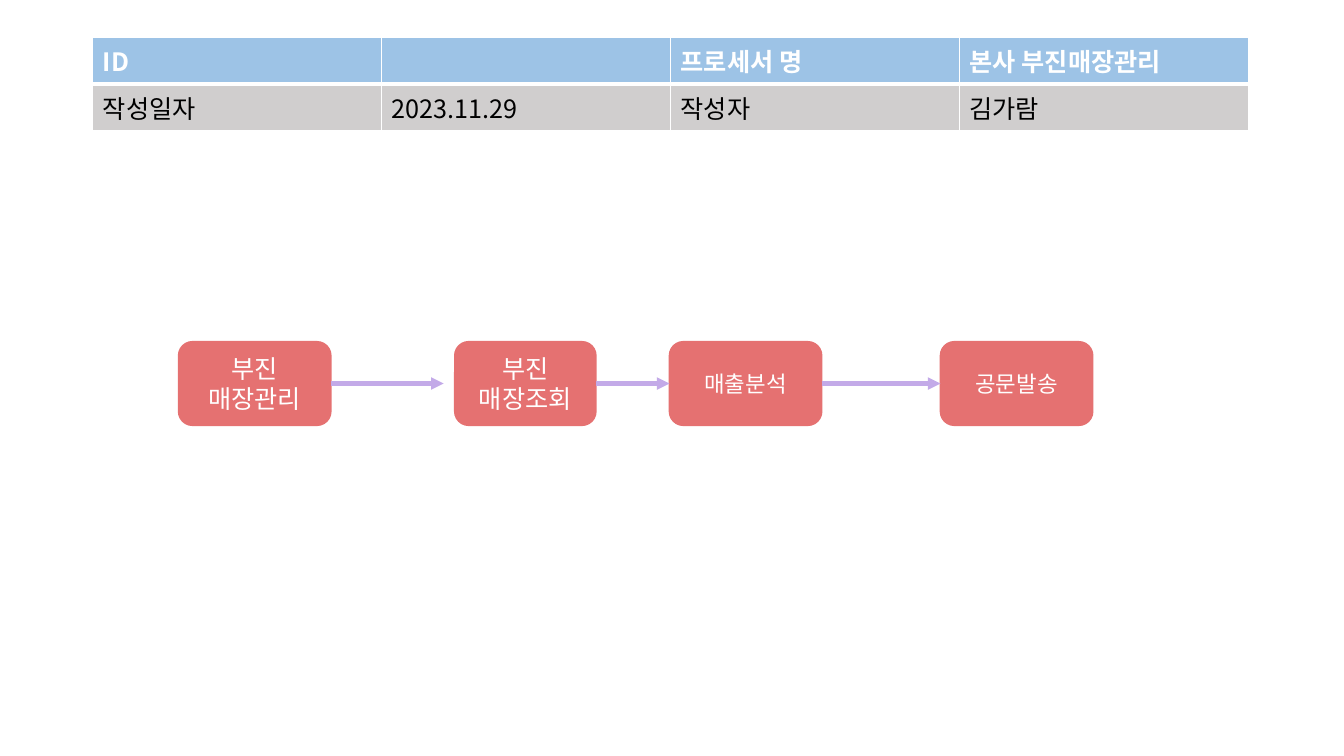
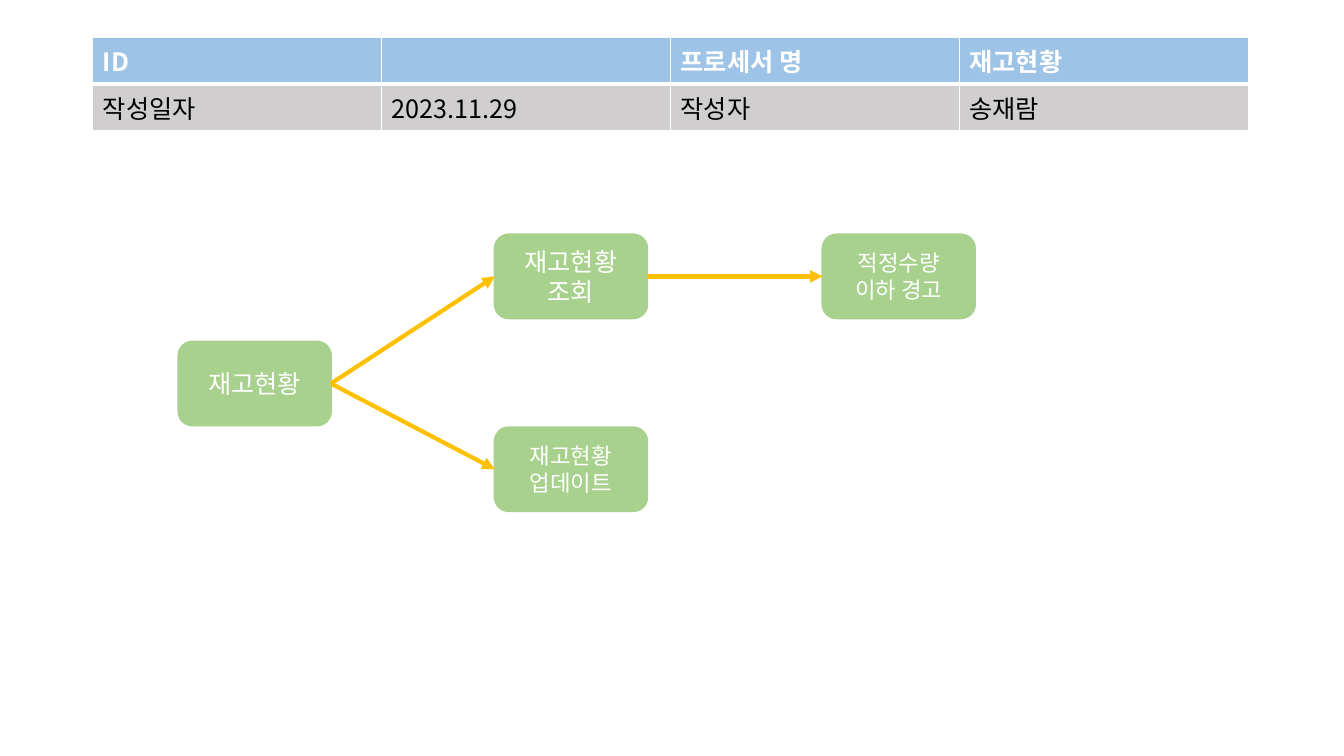
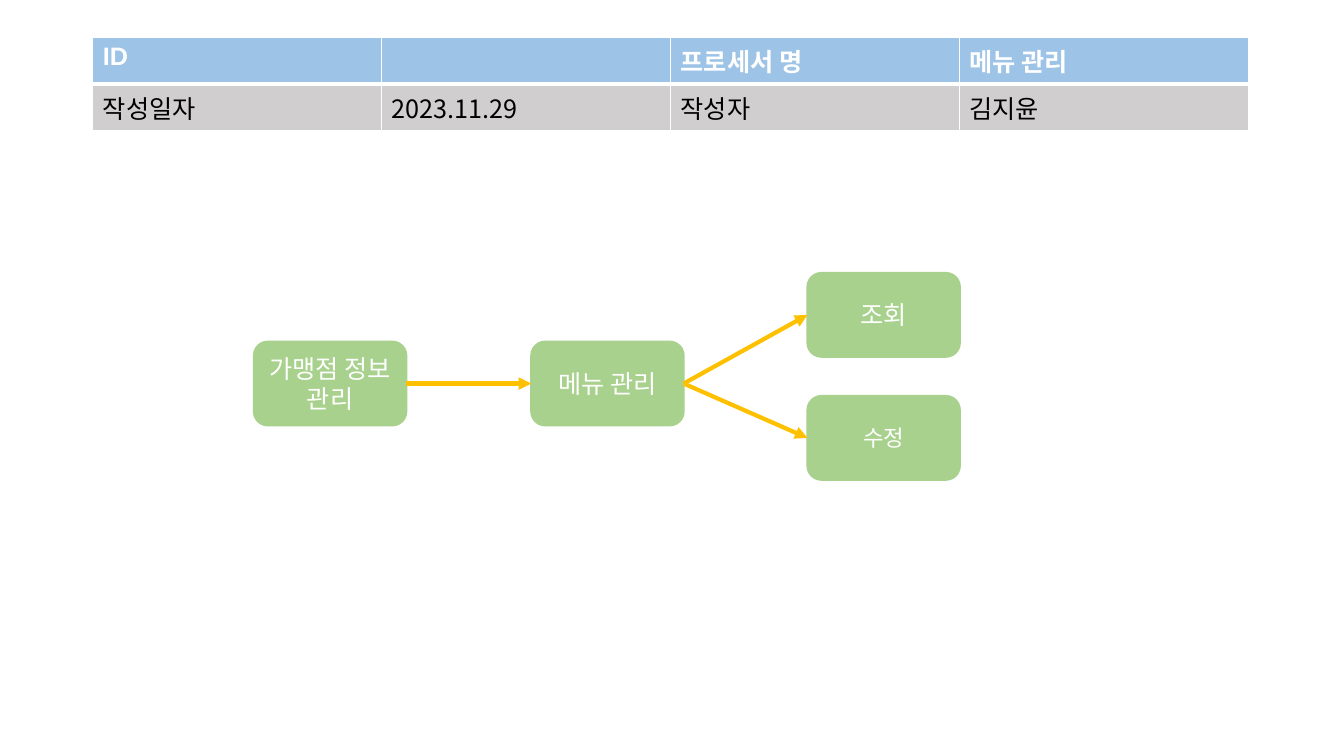
from dataclasses import dataclass

from lxml import etree
from pptx import Presentation
from pptx.dml.color import RGBColor
from pptx.enum import shapes, text
from pptx.oxml import ns
from pptx.util import Cm, Pt


@dataclass(frozen=True)
class Theme:
    header: str = "9DC3E6"
    body: str = "D0CECE"
    white: str = "FFFFFF"
    black: str = "000000"
    sans: str = "Noto Sans CJK KR"
    latin: str = "Arial"
    large: int = 18
    small: int = 16
    arrow_width: int = 3


THEME = Theme()
RED = {"fill": "E57171", "arrow": "C3AAE8", "outline": 1}
GREEN = {"fill": "A9D18E", "arrow": "FFC000", "outline": 1.5}

# Sizes in centimetres
PAGE_W, PAGE_H = 33.87, 19.05
TABLE_X, TABLE_Y, COL_W = 2.34, 0.94, 7.28
ROW_HEIGHTS = (1.09, 1.04)
BOX_W, BOX_H = 3.84, 2.11
NARROW = 3.56
MID_Y = 8.61

# Content: steps are (text, x, y, type size, width),
# arrows are (from step, to step, gap before the target)
PAGES = [
    {
        "process": "본사 부진매장관리", "author": "김가람",
        "font": THEME.sans, "palette": RED,
        "steps": [
            ("부진\n매장관리", 4.5, MID_Y, THEME.large, BOX_W),
            ("부진\n매장조회", 11.46, MID_Y, THEME.large, NARROW),
            ("매출분석", 16.87, MID_Y, THEME.small, BOX_W),
            ("공문발송", 23.7, MID_Y, THEME.small, BOX_W),
        ],
        "arrows": [(0, 1, 0.28), (1, 2, 0), (2, 3, 0)],
    },
    {
        "process": "재고현황", "author": "송재람",
        "font": THEME.sans, "palette": GREEN,
        "steps": [
            ("재고현황", 4.5, MID_Y, THEME.large, BOX_W),
            ("재고현황 조회", 12.47, 5.91, THEME.large, BOX_W),
            ("재고현황\n업데이트", 12.47, 10.77, THEME.small, BOX_W),
            ("적정수량\n이하 경고", 20.73, 5.91, THEME.small, BOX_W),
        ],
        "arrows": [(0, 1, 0), (0, 2, 0), (1, 3, 0)],
    },
    {
        "process": "메뉴 관리", "author": "김지윤",
        "font": THEME.latin, "palette": GREEN,
        "steps": [
            ("가맹점 정보 관리", 6.4, MID_Y, THEME.large, BOX_W),
            ("메뉴 관리", 13.39, MID_Y, THEME.large, BOX_W),
            ("조회", 20.35, 6.88, THEME.large, BOX_W),
            ("수정", 20.35, 9.98, THEME.small, BOX_W),
        ],
        "arrows": [(0, 1, 0), (1, 2, 0), (1, 3, 0)],
    },
]


def rgb(value):
    return RGBColor.from_string(value)


def style_text(frame, size, color, name, bold=False):
    for para in frame.paragraphs:
        for span in para.runs:
            font = span.font
            font.size, font.bold, font.name = Pt(size), bold, name
            font.color.rgb = rgb(color)
            east_asian = etree.SubElement(font._element, ns.qn("a:ea"))
            east_asian.set("typeface", THEME.sans)


def add_border(cell, side, width):
    line = etree.SubElement(cell._tc.get_or_add_tcPr(), ns.qn("a:ln" + side))
    line.set("w", str(Pt(width)))
    fill = etree.SubElement(line, ns.qn("a:solidFill"))
    etree.SubElement(fill, ns.qn("a:srgbClr")).set("val", THEME.white)


# Table of document details
def add_details(page, content):
    rows = [("ID", "", "프로세서 명", content["process"]),
            ("작성일자", "2023.11.29", "작성자", content["author"])]
    columns = len(rows[0])
    table = page.shapes.add_table(
        len(rows), columns, Cm(TABLE_X), Cm(TABLE_Y),
        Cm(COL_W * columns), Cm(sum(ROW_HEIGHTS))).table
    for column in table.columns:
        column.width = Cm(COL_W)
    for r, values in enumerate(rows):
        header = r == 0
        table.rows[r].height = Cm(ROW_HEIGHTS[r])
        borders = ({"L": 1, "R": 1, "T": 1, "B": 3} if header
                   else {"L": 1, "R": 1, "B": 1})
        for c, value in enumerate(values):
            cell = table.cell(r, c)
            for side, width in borders.items():
                add_border(cell, side, width)
            cell.fill.solid()
            cell.fill.fore_color.rgb = rgb(THEME.header if header else THEME.body)
            cell.text_frame.text = value
            style_text(cell.text_frame, THEME.large,
                       THEME.white if header else THEME.black,
                       content["font"] if header else THEME.sans, header)


# Process steps
def add_step(page, content, step):
    label, x, y, size, width = step
    palette = content["palette"]
    box = page.shapes.add_shape(shapes.MSO_SHAPE.ROUNDED_RECTANGLE,
                                Cm(x), Cm(y), Cm(width), Cm(BOX_H))
    box.shadow.inherit = False
    box.fill.solid()
    box.fill.fore_color.rgb = rgb(palette["fill"])
    box.line.color.rgb = rgb(palette["fill"])
    box.line.width = Pt(palette["outline"])
    frame = box.text_frame
    frame.text = label
    frame.word_wrap = True
    frame.vertical_anchor = text.MSO_ANCHOR.MIDDLE
    for para in frame.paragraphs:
        para.alignment = text.PP_ALIGN.CENTER
    style_text(frame, size, THEME.white, content["font"])
    return box


# Arrows from the right side of one step to the left side of another
def add_arrow(page, source, target, gap, color):
    arrow = page.shapes.add_connector(
        shapes.MSO_CONNECTOR.STRAIGHT,
        source.left + source.width, source.top + source.height // 2,
        target.left - Cm(gap), target.top + target.height // 2)
    arrow.begin_connect(source, 3)
    if not gap:
        arrow.end_connect(target, 1)
    arrow.line.color.rgb = rgb(color)
    arrow.line.width = Pt(THEME.arrow_width)
    tail = etree.SubElement(arrow.line._get_or_add_ln(), ns.qn("a:tailEnd"))
    tail.set("type", "triangle")
    etree.SubElement(arrow._element.spPr, ns.qn("a:effectLst"))


def main():
    deck = Presentation()
    deck.slide_width, deck.slide_height = Cm(PAGE_W), Cm(PAGE_H)
    for content in PAGES:
        page = deck.slides.add_slide(deck.slide_layouts[6])
        add_details(page, content)
        boxes = [add_step(page, content, step) for step in content["steps"]]
        for start, end, gap in content["arrows"]:
            add_arrow(page, boxes[start], boxes[end], gap,
                      content["palette"]["arrow"])
    deck.save("out.pptx")


if __name__ == "__main__":
    main()
